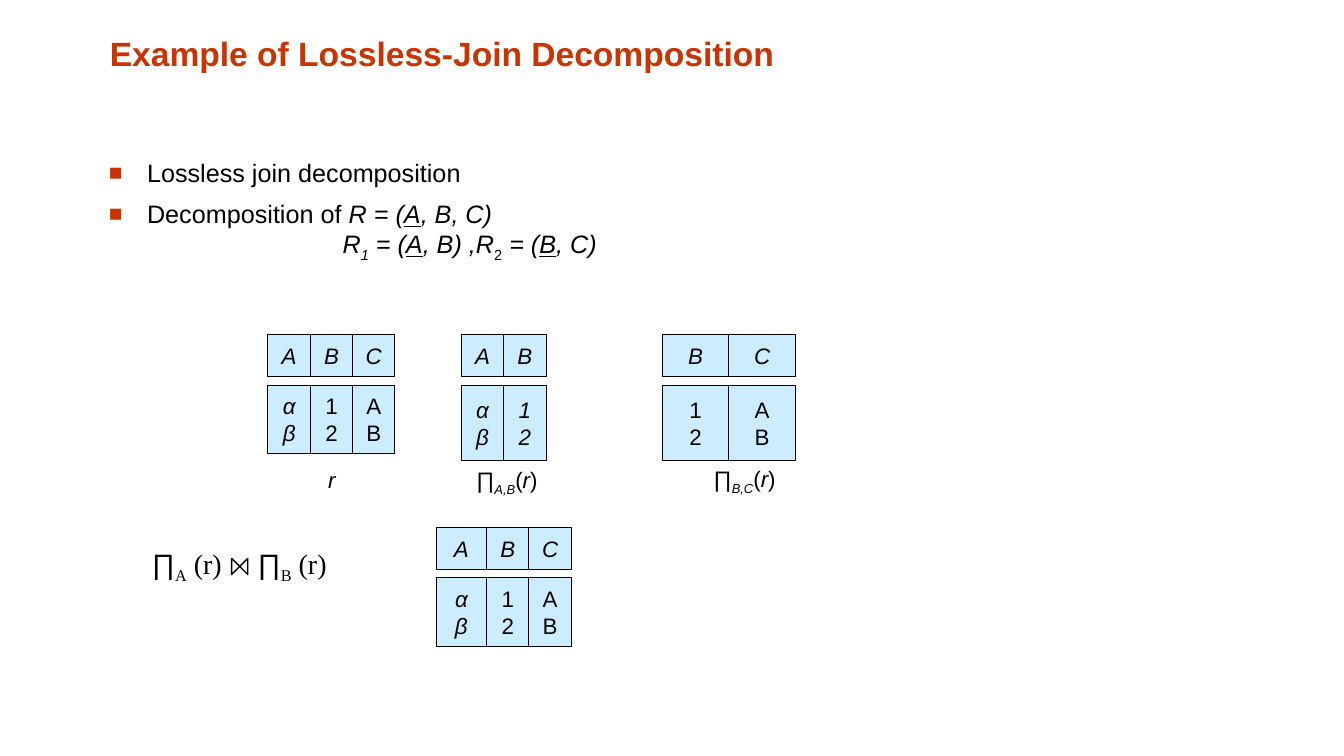
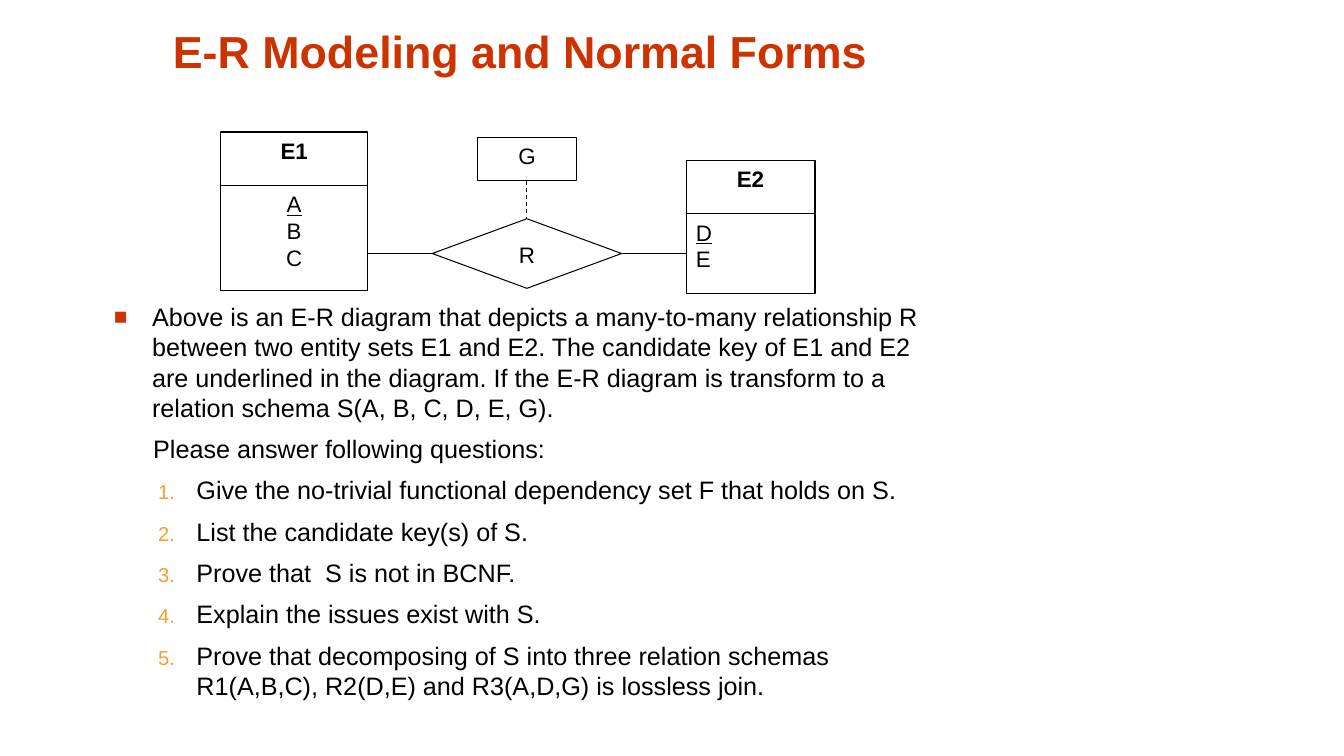
"""Builds two lecture slides on lossless joins and E-R normal forms."""
from dataclasses import dataclass

from lxml import etree
from pptx import Presentation
from pptx import util as u
from pptx.dml.color import RGBColor
from pptx.enum import dml, shapes, text
from pptx.oxml.ns import qn


@dataclass(frozen=True)
class Theme:
    font: str = "Arial"
    serif: str = "Times New Roman"
    ink: str = "000000"
    accent: str = "CC3300"
    number: str = "FF9933"
    cell: str = "CCECFF"
    body: float = 18
    label: float = 16
    formula: float = 20
    line: float = 0.75
    gap: float = 7.9


THEME = Theme()
LEFT, CENTER = text.PP_ALIGN.LEFT, text.PP_ALIGN.CENTER
TOP, MIDDLE, BOTTOM = (text.MSO_ANCHOR.TOP, text.MSO_ANCHOR.MIDDLE,
                       text.MSO_ANCHOR.BOTTOM)
RECTANGLE, DIAMOND = shapes.MSO_SHAPE.RECTANGLE, shapes.MSO_SHAPE.DIAMOND

# Span flags: i italic, u underline, b bold, s subscript, t serif.
JOIN_TITLE = "Example of Lossless-Join Decomposition"
JOIN_BODY = [
    ("bullet", ["Lossless join decomposition"]),
    ("bullet", ["Decomposition of ", ("R = (", "i"), ("A", "iu"), (", B, C)", "i")]),
    ("schema", [("R", "i"), ("1", "is"), (" = (", "i"), ("A", "iu"),
                (", B) ,R", "i"), ("2", "s"), (" = (", "i"), ("B", "iu"),
                (", C)", "i")]),
]
COL = 0.42
HEADER, HEADER_GAP = 0.42, 0.08
GREEK = ("αβ", "i")
DIGITS = ("12", "")
LETTERS = ("AB", "")
RELATIONS = [
    (2.66, 3.32, 0.68, [("A", COL, GREEK), ("B", COL, DIGITS), ("C", COL, LETTERS)]),
    (4.58, 3.32, 0.75, [("A", COL, GREEK), ("B", COL, ("12", "i"))]),
    (6.58, 3.32, 0.75, [("B", 0.65, DIGITS), ("C", 0.67, LETTERS)]),
    (4.33, 5.23, 0.68, [("A", 0.5, GREEK), ("B", COL, DIGITS), ("C", COL, LETTERS)]),
]
CAPTIONS = [
    ((3.16, 4.57, 0.27, 0.37), [("r", "i")]),
    ((4.32, 4.57, 1.42, 0.41), ["∏", ("A,B", "is"), "(", ("r", "i"), ")"]),
    ((6.82, 4.56, 1.14, 0.41), ["∏", ("B,C", "is"), "(", ("r", "i"), ")"]),
]
OPERANDS = [(1.41, "A"), (2.46, "B")]
OPERAND_TOP = 5.37
BOWTIE = (2.3, 5.54, 0.16)

ER_TITLE = "E-R Modeling and Normal Forms"
ER_BODY = [
    ("bullet", ["Above is an E-R diagram that depicts a many-to-many relationship R "
                "between two entity sets E1 and E2. The candidate key of E1 and E2 are "
                "underlined in the diagram. If the E-R diagram is transform to a "
                "relation schema S(A, B, C, D, E, G)."]),
    ("plain", ["Please answer following questions:"]),
    ("number", ["Give the no-trivial functional dependency set F that holds on S."]),
    ("number", ["List the candidate key(s) of S."]),
    ("number", ["Prove that  S is not in BCNF."]),
    ("number", ["Explain the issues exist with S."]),
    ("number", ["Prove that decomposing of S into three relation schemas "
                "R1(A,B,C), R2(D,E) and R3(A,D,G) is lossless join."]),
]
NAME_HEIGHT = 0.53
ENTITIES = [
    ("E1", (2.19, 1.31, 1.46), 1.04, "ABC", CENTER),
    ("E2", (6.81, 1.59, 1.28), 0.79, "DE", LEFT),
]

# Left indent, hanging indent, space before, level and bullet of each kind.
KINDS = {
    "bullet": (0.38, -0.38, THEME.gap, 0, ("buChar", "char", "■", THEME.accent, 90)),
    "schema": (2.32, 0, 0, 0, None),
    "plain": (0.39, 0, THEME.gap, 0, None),
    "number": (0.82, -0.38, THEME.gap, 1,
               ("buAutoNum", "type", "arabicPeriod", THEME.number, 80)),
}


def inches(values):
    return [u.Inches(value) for value in values]


def rgb(value):
    return RGBColor.from_string(value)


def add_child(parent, tag, **attributes):
    return etree.SubElement(parent, qn("a:" + tag), attributes)


def write(para, spans, size, align=LEFT, color=THEME.ink):
    para.alignment = align
    for item in spans:
        words, flags = (item, "") if isinstance(item, str) else item
        span = para.add_run()
        span.text = words
        font = span.font
        font.name = THEME.serif if "t" in flags else THEME.font
        font.size = u.Pt(size)
        font.color.rgb = rgb(color)
        font.bold, font.italic, font.underline = (f in flags for f in "biu")
        if "s" in flags:
            font._element.set("baseline", "-25000")


def set_bullet(para, indent, hanging, bullet):
    props = para._p.get_or_add_pPr()
    props.set("marL", str(u.Inches(indent)))
    props.set("indent", str(u.Inches(hanging)))
    if bullet is None:
        add_child(props, "buNone")
        return
    tag, key, value, color, percent = bullet
    add_child(add_child(props, "buClr"), "srgbClr", val=color)
    add_child(props, "buSzPct", val=str(percent * 1000))
    add_child(props, "buFont", typeface=THEME.font)
    add_child(props, tag, **{key: value})


def place(shape, box, anchor):
    shape.left, shape.top, shape.width, shape.height = inches(box)
    frame = shape.text_frame
    frame.word_wrap = True
    frame.auto_size = text.MSO_AUTO_SIZE.NONE
    frame.vertical_anchor = anchor
    return frame


def add_page(deck, title, title_box, title_size, title_align, body, body_box):
    page = deck.slides.add_slide(deck.slide_layouts[1])
    heading = place(page.shapes.title, title_box, BOTTOM)
    write(heading.paragraphs[0], [(title, "b")], title_size, title_align, THEME.accent)
    frame = place(page.placeholders[1], body_box, TOP)
    for index, (kind, spans) in enumerate(body):
        indent, hanging, before, level, bullet = KINDS[kind]
        para = frame.add_paragraph() if index else frame.paragraphs[0]
        para.level = level
        para.space_before = u.Pt(before if index else 0)
        set_bullet(para, indent, hanging, bullet)
        write(para, spans, THEME.body)
    return page


def add_label(page, box, spans, size, anchor=MIDDLE, align=CENTER):
    label = page.shapes.add_textbox(*inches(box))
    write(place(label, box, anchor).paragraphs[0], spans, size, align)


def set_outline(line, width=THEME.line):
    line.color.rgb = rgb(THEME.ink)
    line.width = u.Pt(width)


def add_node(page, preset, box, lines, align=CENTER, anchor=TOP, fill=None):
    node = page.shapes.add_shape(preset, *inches(box))
    node.shadow.inherit = False
    if fill is None:
        node.fill.background()
    else:
        node.fill.solid()
        node.fill.fore_color.rgb = rgb(fill)
    set_outline(node.line)
    frame = place(node, box, anchor)
    for index, spans in enumerate(lines):
        para = frame.add_paragraph() if index else frame.paragraphs[0]
        write(para, spans, THEME.label, align)
    return node


def add_relation(page, left, top, height, columns):
    for name, width, (values, flags) in columns:
        rows = [(top, HEADER, [[(name, "i")]]),
                (top + HEADER + HEADER_GAP, height,
                 [[(value, flags)] for value in values])]
        for row_top, row_height, lines in rows:
            add_node(page, RECTANGLE, (left, row_top, width, row_height), lines,
                     anchor=MIDDLE, fill=THEME.cell)
        left += width


def add_bowtie(page, left, top, size):
    right, bottom = left + size, top + size
    builder = page.shapes.build_freeform(u.Inches(left), u.Inches(top))
    corners = [(left, bottom), (right, top), (right, bottom)]
    builder.add_line_segments([inches(corner) for corner in corners], close=True)
    bowtie = builder.convert_to_shape()
    bowtie.shadow.inherit = False
    bowtie.fill.background()
    set_outline(bowtie.line, 1)


def add_entity(page, name, box, height, attributes, align):
    left, top, width = box
    add_node(page, RECTANGLE, (left, top, width, NAME_HEIGHT), [[(name, "b")]])
    key, *others = attributes
    lines = [[(key, "u")]] + [[other] for other in others]
    return add_node(page, RECTANGLE, (left, top + NAME_HEIGHT, width, height),
                    lines, align)


def add_link(page, start, start_site, end=None, end_site=None):
    link = page.shapes.add_connector(shapes.MSO_CONNECTOR.STRAIGHT, 0, 0, 0, 0)
    link.begin_connect(start, start_site)
    if end is not None:
        link.end_connect(end, end_site)
    set_outline(link.line)
    add_child(link._element.spPr, "effectLst")
    return link


def build_join_page(deck):
    page = add_page(deck, JOIN_TITLE, (0.99, 0.28, 9.33, 0.5), 24, LEFT,
                    JOIN_BODY, (0.98, 1.51, 7.65, 1.32))
    for relation in RELATIONS:
        add_relation(page, *relation)
    for box, spans in CAPTIONS:
        add_label(page, box, spans, THEME.label)
    for left, name in OPERANDS:
        add_label(page, (left, OPERAND_TOP, 1.1, 0.5),
                  ["∏", (name, "ts"), (" (r)", "t")], THEME.formula, TOP, LEFT)
    add_bowtie(page, *BOWTIE)


def build_er_page(deck):
    page = add_page(deck, ER_TITLE, (1.27, 0.13, 7.79, 0.69), 32, CENTER,
                    ER_BODY, (1.03, 2.94, 8.38, 4.29))
    first, second = [add_entity(page, *entity) for entity in ENTITIES]
    relationship = add_node(page, DIAMOND, (4.29, 2.17, 1.88, 0.69), [["R"]])
    attribute = add_node(page, RECTANGLE, (4.74, 1.36, 0.98, 0.43), [["G"]])
    to_first = add_link(page, relationship, 1)
    to_first.end_x = first.left + first.width
    to_first.end_y = to_first.begin_y
    add_link(page, relationship, 3, second, 1)
    dashed = add_link(page, attribute, 2, relationship, 0)
    dashed.line.dash_style = dml.MSO_LINE.DASH


def main():
    deck = Presentation()
    deck.slide_width, deck.slide_height = inches((13.34, 7.5))
    build_join_page(deck)
    build_er_page(deck)
    deck.save("out.pptx")


if __name__ == "__main__":
    main()
